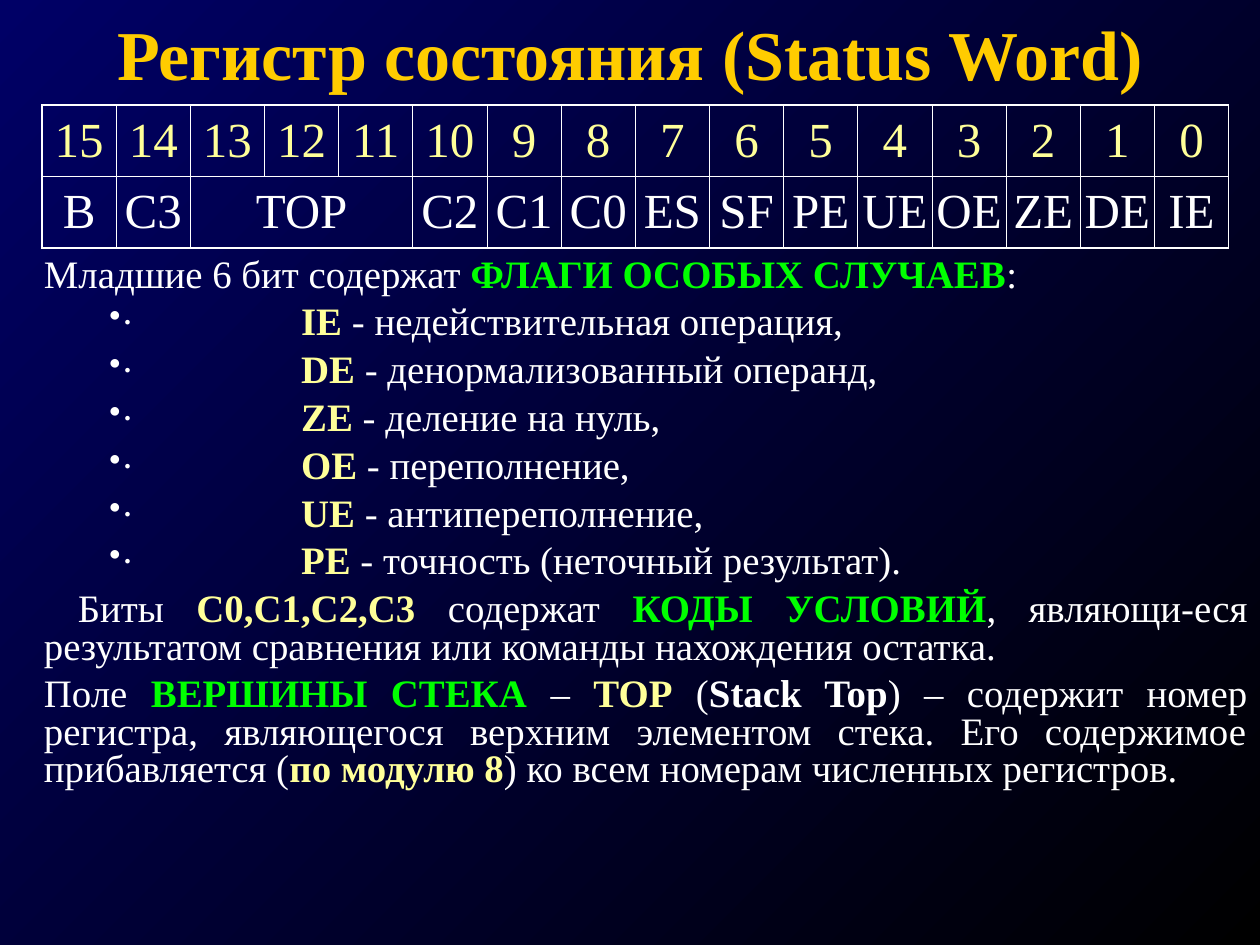
from lxml.etree import SubElement
from pptx import Presentation
from pptx.dml.color import RGBColor
from pptx.enum.text import MSO_ANCHOR, PP_ALIGN
from pptx.oxml.ns import qn
from pptx.util import Pt

NAVY = RGBColor(0x00, 0x00, 0x66)
BLACK = RGBColor(0x00, 0x00, 0x00)
GOLD = RGBColor(0xFF, 0xCC, 0x00)
WHITE = RGBColor(0xFF, 0xFF, 0xFF)
YELLOW = RGBColor(0xFF, 0xFF, 0x99)
GREEN = RGBColor(0x00, 0xFF, 0x00)
FONT = "Times New Roman"
THIN, THICK = 0.45, 1.08


def add_run(paragraph, text, size, color, bold=False):
    run = paragraph.add_run()
    run.text = text
    values = {"name": FONT, "size": Pt(size), "bold": bold}
    for name, value in values.items():
        setattr(run.font, name, value)
    run.font.color.rgb = color


def set_border(cell, side, width):
    line = SubElement(cell._tc.get_or_add_tcPr(), qn(f"a:ln{side}"), w=str(Pt(width)))
    fill = SubElement(line, qn("a:solidFill"))
    SubElement(fill, qn("a:srgbClr"), val=str(WHITE))


presentation = Presentation()
presentation.slide_width, presentation.slide_height = Pt(720), Pt(540)
slide = presentation.slides.add_slide(presentation.slide_layouts[6])

# Background gradient, from top left to bottom right
background = slide.background.fill
background.gradient()
background.gradient_angle = 315
for stop, position, color in zip(background.gradient_stops, (0, 1), (NAVY, BLACK)):
    stop.position = position
    stop.color.rgb = color

# Title
title = slide.shapes.add_textbox(Pt(54), Pt(0), Pt(612), Pt(60)).text_frame
title.word_wrap = True
title.vertical_anchor = MSO_ANCHOR.MIDDLE
title.paragraphs[0].alignment = PP_ALIGN.CENTER
add_run(title.paragraphs[0], "Регистр состояния (Status Word)", 40, GOLD, True)

# Register table: bit numbers above field names, TOP spans three bits
fields = ["B", "C3", "TOP", "", "", "C2", "C1", "C0",
          "ES", "SF", "PE", "UE", "OE", "ZE", "DE", "IE"]
bits = [str(bit) for bit in reversed(range(len(fields)))]
last = len(fields) - 1
table_shape = slide.shapes.add_table(2, len(fields), Pt(24), Pt(60), Pt(678.4), Pt(79.2))
table = table_shape.table
table.first_row = table.horz_banding = False
for column in table.columns:
    column.width = Pt(42.4)
table.cell(1, 2).merge(table.cell(1, 4))
cell_format = {"margin_left": Pt(1.5), "margin_right": Pt(1.5),
               "margin_top": Pt(3.6), "margin_bottom": Pt(3.6),
               "vertical_anchor": MSO_ANCHOR.MIDDLE}
for row, (labels, color) in enumerate([(bits, YELLOW), (fields, WHITE)]):
    for column, label in enumerate(labels):
        cell = table.cell(row, column)
        for name, value in cell_format.items():
            setattr(cell, name, value)
        outer_sides = {"L": column == 0, "R": column == last, "T": row == 0, "B": row == 1}
        for side, outer in outer_sides.items():
            set_border(cell, side, THICK if outer else THIN)
        cell.fill.background()
        if label:
            paragraph = cell.text_frame.paragraphs[0]
            paragraph.alignment = PP_ALIGN.CENTER
            paragraph.space_before = Pt(7)
            add_run(paragraph, label, 28, color)

# Body paragraphs: kind, then runs of text, colour and bold
flags = [("IE", "недействительная операция,"),
         ("DE", "денормализованный операнд,"),
         ("ZE", "деление на нуль,"),
         ("OE", "переполнение,"),
         ("UE", "антипереполнение,"),
         ("PE", "точность (неточный результат).")]
paragraphs = [
    ("plain", [("Младшие 6 бит содержат ", WHITE, False),
               ("ФЛАГИ ОСОБЫХ СЛУЧАЕВ", GREEN, True), (":", WHITE, False)]),
    *[("bullet", [("·\t", WHITE, False), (flag, YELLOW, True),
                  (f" - {meaning}", WHITE, False)]) for flag, meaning in flags],
    ("indented", [("Биты ", WHITE, False), ("С0,С1,С2,С3", YELLOW, True),
                  (" содержат ", WHITE, False), ("КОДЫ УСЛОВИЙ", GREEN, True),
                  (", являющи-еся результатом сравнения или команды нахождения остатка.",
                   WHITE, False)]),
    ("plain", [("Поле ", WHITE, False), ("ВЕРШИНЫ СТЕКА", GREEN, True),
               (" – ", WHITE, False), ("TOP", YELLOW, True), (" (", WHITE, False),
               ("Stack Top", WHITE, True),
               (") – содержит номер регистра, являющегося верхним элементом стека. "
                "Его содержимое прибавляется (", WHITE, False),
               ("по модулю 8", YELLOW, True),
               (") ко всем номерам численных регистров.", WHITE, False)]),
]
first_line_indents = {"plain": 0, "bullet": 37.5, "indented": 19.4}

body = slide.shapes.add_textbox(Pt(18), Pt(144), Pt(702), Pt(348)).text_frame
body.word_wrap = True
for index, (kind, runs) in enumerate(paragraphs):
    paragraph = body.add_paragraph() if index else body.paragraphs[0]
    paragraph_format = {"alignment": PP_ALIGN.JUSTIFY, "line_spacing": 0.8,
                        "space_before": Pt(6)}
    for name, value in paragraph_format.items():
        setattr(paragraph, name, value)
    properties = paragraph._p.get_or_add_pPr()
    properties.set("marL", "0")
    properties.set("indent", str(Pt(first_line_indents[kind])))
    if kind == "bullet":
        bullet_color = SubElement(properties, qn("a:buClr"))
        SubElement(bullet_color, qn("a:srgbClr"), val=str(WHITE))
        SubElement(properties, qn("a:buSzPct"), val="85000")
        SubElement(properties, qn("a:buChar"), char="•")
        tabs = SubElement(properties, qn("a:tabLst"))
        SubElement(tabs, qn("a:tab"), pos=str(Pt(147)), algn="l")
    for text, color, bold in runs:
        add_run(paragraph, text, 22.2, color, bold)

presentation.save("out.pptx")
